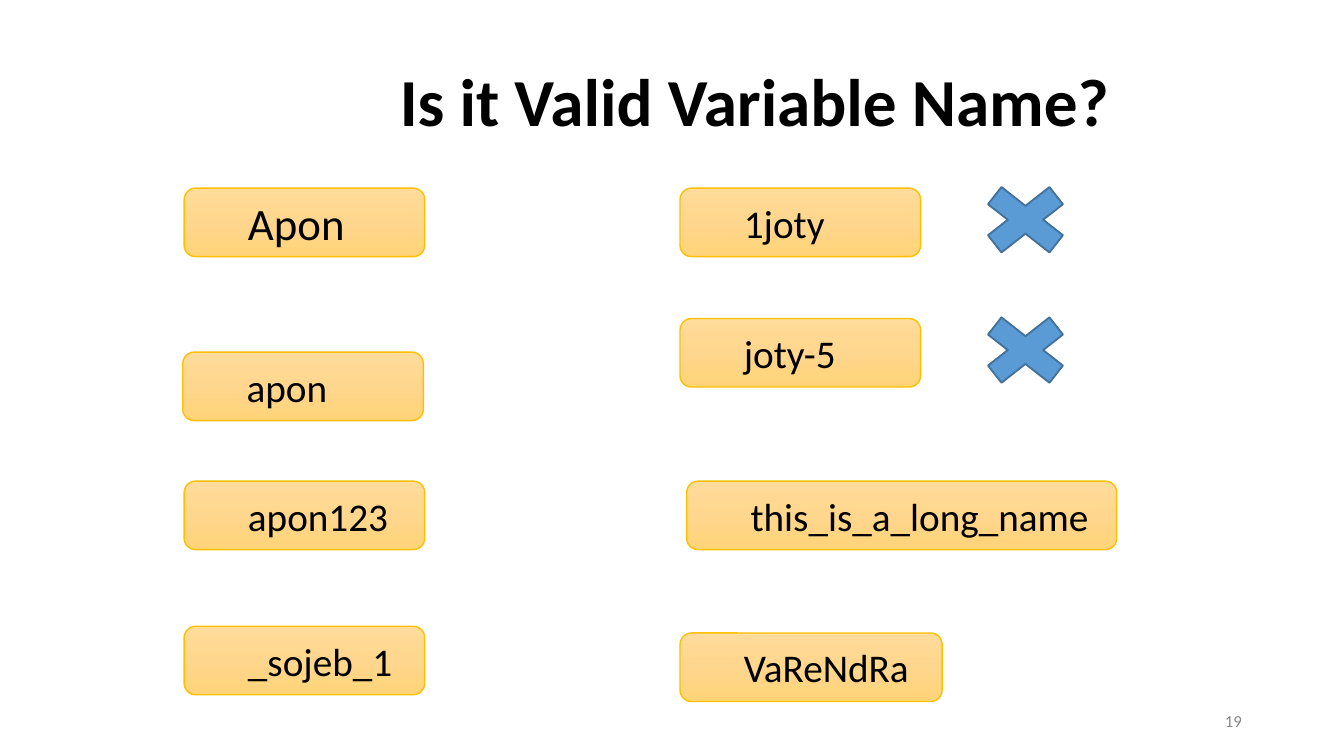
from copy import deepcopy

from pptx import Presentation
from pptx.dml.color import RGBColor
from pptx.enum.shapes import MSO_SHAPE
from pptx.enum.text import MSO_ANCHOR, PP_ALIGN
from pptx.util import Inches, Pt

FONT = "Calibri"
COLORS = {
    "text": "000000",
    "number": "888888",
    "card_top": "FFDC9B",
    "card_middle": "FFD68D",
    "card_bottom": "FFD478",
    "card_line": "FFC000",
    "cross": "5B9BD5",
    "cross_line": "42719B",
}
CARD_WIDTH, CARD_HEIGHT = 1.79, 0.51
CROSS_WIDTH, CROSS_HEIGHT = 0.88, 0.69
CROSS_LEFT = 2.13  # from the left edge of the column


def color(name):
    return RGBColor.from_string(COLORS[name])


def write_text(shape, text, size, color_name="text", bold=False, align=PP_ALIGN.LEFT):
    frame = shape.text_frame
    frame.word_wrap = True
    frame.vertical_anchor = MSO_ANCHOR.MIDDLE
    frame.margin_left = frame.margin_right = Inches(0.07)
    frame.margin_top = frame.margin_bottom = Inches(0.04)
    paragraph = frame.paragraphs[0]
    paragraph.alignment = align
    run = paragraph.add_run()
    run.text = text
    run.font.name = FONT
    run.font.size = Pt(size)
    run.font.bold = bold
    run.font.color.rgb = color(color_name)
    return paragraph


def add_label(slide, box, text, size, **style):
    shape = slide.shapes.add_textbox(*map(Inches, box))
    return write_text(shape, text, size, **style)


def fill_card(shape):
    shape.fill.gradient()
    shape.fill.gradient_angle = 270
    # A new gradient has two stops; the third is a copy of the first
    first = shape.element.xpath(".//a:gsLst/a:gs")[0]
    first.addnext(deepcopy(first))
    names = ("card_top", "card_middle", "card_bottom")
    for index, (stop, name) in enumerate(zip(shape.fill.gradient_stops, names)):
        stop.position = index / 2
        stop.color.rgb = color(name)


def add_card(slide, left, top, text, width=CARD_WIDTH, size=21):
    shape = slide.shapes.add_shape(
        MSO_SHAPE.ROUNDED_RECTANGLE,
        *map(Inches, (left, top, width, CARD_HEIGHT)))
    shape.shadow.inherit = False
    fill_card(shape)
    shape.line.color.rgb = color("card_line")
    shape.line.width = Pt(0.75)
    paragraph = write_text(shape, text, size)
    paragraph.level = 1
    properties = paragraph._p.get_or_add_pPr()
    properties.set("marL", str(Inches(0.38)))
    properties.set("indent", "0")


def add_cross(slide, left, card_top):
    top = card_top - 0.11
    shape = slide.shapes.add_shape(
        MSO_SHAPE.MATH_MULTIPLY,
        *map(Inches, (left, top, CROSS_WIDTH, CROSS_HEIGHT)))
    shape.shadow.inherit = False
    shape.fill.solid()
    shape.fill.fore_color.rgb = color("cross")
    shape.line.color.rgb = color("cross_line")
    shape.line.width = Pt(1)


def add_column(slide, left, top, cards):
    """Each card: text, offset from the column's corner, invalid flag, style."""
    for text, across, down, invalid, style in cards:
        add_card(slide, left + across, top + down, text, **style)
        if invalid:
            add_cross(slide, left + CROSS_LEFT, top + down)


def main():
    presentation = Presentation()
    # Widescreen, 16:9
    presentation.slide_width = Inches(10)
    presentation.slide_height = Inches(10) * 9 // 16
    slide = presentation.slides.add_slide(presentation.slide_layouts[6])

    # Title
    title = add_label(slide, (1.96, 0.37, 7.31, 0.82), "Is it Valid Variable Name?",
                      36, bold=True, align=PP_ALIGN.CENTER)
    title.line_spacing = 0.9

    # Left column: valid names
    add_column(slide, 1.37, 1.4, [
        ("Apon", 0, 0, False, {"size": 24}),
        ("apon", -0.01, 1.22, False, {}),
        ("apon123", 0, 2.18, False, {}),
        ("_sojeb_1", 0, 3.26, False, {}),
    ])

    # Right column: invalid names crossed, then valid ones
    add_column(slide, 5.06, 1.4, [
        ("1joty", 0, 0, True, {}),
        ("joty-5", 0, 0.97, True, {}),
        ("this_is_a_long_name", 0.05, 2.18, False, {"width": 3.2}),
        ("VaReNdRa", 0, 3.31, False, {"width": 1.95}),
    ])

    # Slide number
    add_label(slide, (7.06, 5.21, 2.25, 0.3), "19", 9,
              color_name="number", align=PP_ALIGN.RIGHT)

    presentation.save("out.pptx")


if __name__ == "__main__":
    main()
